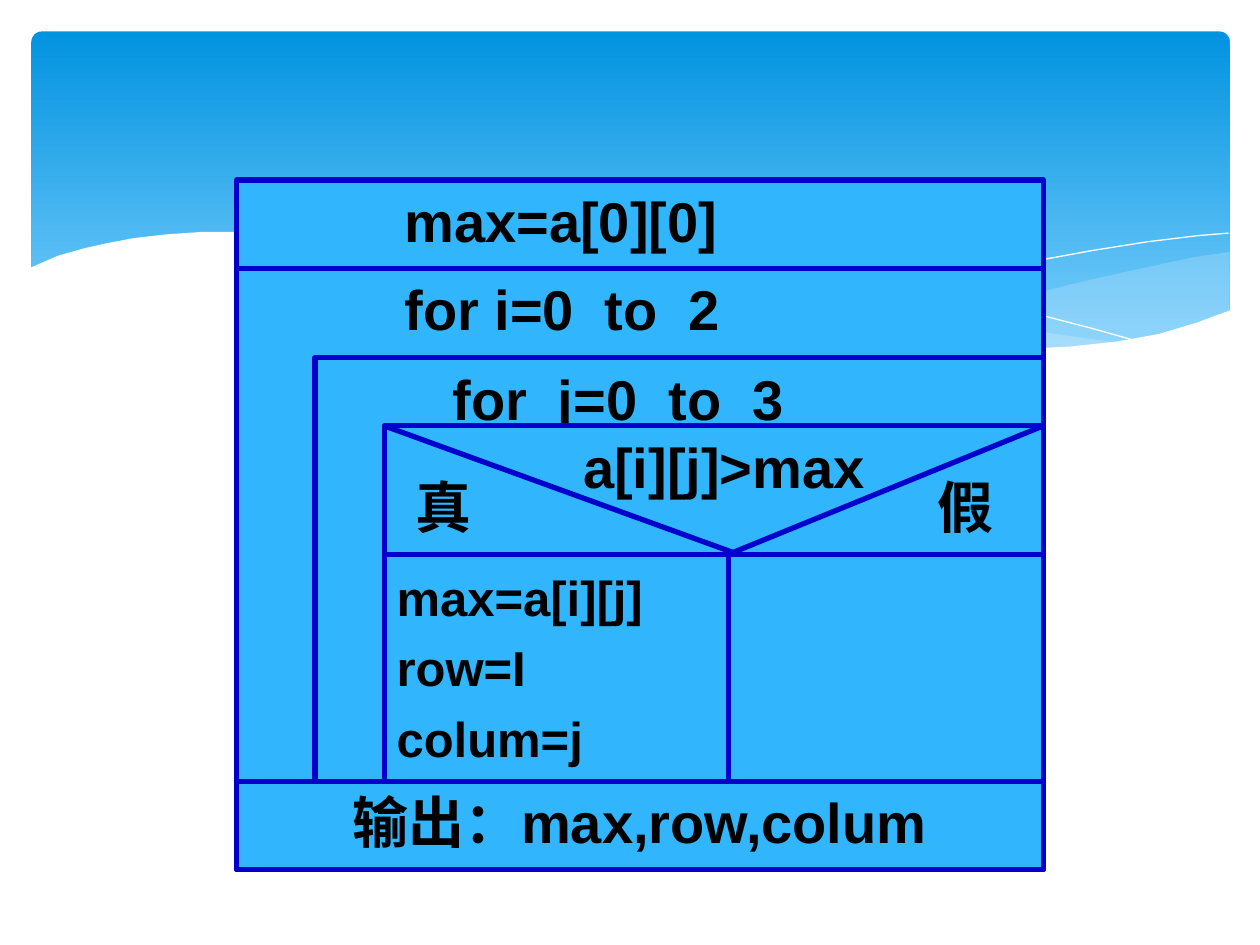
from lxml import etree
from pptx import Presentation, util as u
from pptx.dml.color import RGBColor
from pptx.enum import shapes, text
from pptx.oxml.ns import qn

COLORS = {"sky_top": "0293E0", "sky_bottom": "83D3FE", "wave": "C6E7FC",
          "white": "FFFFFF", "box": "31B6FD", "line": "0000CC", "ink": "000000"}

# Banner waves: outline points in inches, opacity in percent
WAVES = [
    ([(9.76, 2), (9.48, 2.04), (9.06, 2.13), (8.61, 2.23), (8.05, 2.37), (7.53, 2.48),
      (7.06, 2.57), (6.61, 2.65), (7.05, 2.71), (7.45, 2.75), (8.03, 2.78), (8.54, 2.76),
      (8.97, 2.7), (9.35, 2.62), (9.76, 2.47)], 29),
    ([(8.93, 2.73), (8.37, 2.65), (7.75, 2.54), (7.06, 2.4), (6.29, 2.22), (5.84, 2.11),
      (5.41, 2.03), (5.01, 1.96), (4.41, 1.89), (3.8, 1.85), (3.28, 1.87), (2.86, 1.91),
      (3.42, 1.99), (4.04, 2.11), (4.91, 2.32), (5.66, 2.48), (6.34, 2.61), (6.95, 2.7),
      (7.48, 2.76), (8.07, 2.79), (8.57, 2.77)], 40),
]
STRANDS = [
    [(3.09, 1.95), (3.43, 1.9), (3.87, 1.87), (4.33, 1.87), (4.89, 1.9), (5.56, 1.97),
     (6.08, 2.04), (6.65, 2.13), (7.27, 2.26), (7.95, 2.42), (8.68, 2.61), (9.07, 2.72)],
    [(6.13, 2.57), (6.52, 2.46), (6.95, 2.35), (7.48, 2.23), (8.06, 2.1), (8.66, 1.99),
     (9.1, 1.92), (9.51, 1.87), (9.75, 1.85)],
]
LOWER_EDGE = [
    (9.77, 2.46), (9.5, 2.56), (9.2, 2.65), (8.87, 2.71), (8.5, 2.75), (8.09, 2.77),
    (7.61, 2.75), (7.08, 2.7), (6.47, 2.62), (5.79, 2.5), (5.03, 2.33), (4.18, 2.13),
    (3.65, 2.02), (3.15, 1.94), (2.71, 1.88), (2.3, 1.85), (1.93, 1.84), (1.61, 1.84),
    (1.32, 1.86), (1.06, 1.89), (0.85, 1.93), (0.67, 1.97), (0.46, 2.03), (0.23, 2.13),
    (0.23, 3.29), (9.77, 3.29)]

# Structure diagram grid
RIGHT, ROW = 8.28, 0.7
OUTER, LOOP_I, LOOP_J = 1.88, 2.5, 3.05
TOP, FOR_I, FOR_J, TEST, BRANCH, OUTPUT = 1.43, 2.13, 2.84, 3.38, 4.4, 6.2
BOTTOM, SPLIT = 6.9, 5.78

# lines, (left, top, right, bottom), text indent, top inset, size, line spacing, centred
BOXES = [
    (["for i=0  to  2"], (OUTER, FOR_I, RIGHT, BOTTOM), 1.23, 0.05, 32, 1, False),
    (["for  j=0  to  3"], (LOOP_I, FOR_J, RIGHT, OUTPUT), 0.99, 0.05, 32, 1, False),
    (["max=a[i][j]", "row=I", "colum=j"], (LOOP_J, TEST, RIGHT, OUTPUT),
     0, 1.03, 28, 1.2, False),
    (["max=a[0][0]"], (OUTER, TOP, RIGHT, FOR_I), 1.23, 0.05, 32, 1, False),
    (["输出：max,row,colum"], (OUTER, OUTPUT, RIGHT, BOTTOM), 0, 0.05, 32, 1, True),
]
LABELS = [("a[i][j]>max", 4.53, TEST, 2.58), ("真", 3.2, 3.7, 0.78), ("假", 7.34, 3.7, 0.78)]
RULES = [
    (LOOP_J, BRANCH, RIGHT, BRANCH),
    (SPLIT, BRANCH, RIGHT, TEST),
    (LOOP_J, TEST, 5.86, BRANCH),
    (SPLIT, OUTPUT, SPLIT, BRANCH),
]


def rgb(name):
    return RGBColor.from_string(COLORS[name])


def fill_solid(sp, name):
    sp.fill.solid()
    sp.fill.fore_color.rgb = rgb(name)


def add_outline(s, points, closed=True):
    pts = [(u.Inches(x), u.Inches(y)) for x, y in points]
    builder = s.shapes.build_freeform(*pts[0])
    builder.add_line_segments(pts[1:], close=closed)
    sp = builder.convert_to_shape()
    sp.shadow.inherit = False
    if closed:
        sp.line.fill.background()
    else:
        sp.fill.background()
    return sp


def add_banner(s):
    sky = s.shapes.add_shape(shapes.MSO_SHAPE.ROUNDED_RECTANGLE, u.Inches(0.25),
                             u.Inches(0.25), u.Inches(9.51), u.Inches(2.7))
    sky.adjustments[0] = 0.03
    sky.shadow.inherit = False
    sky.line.fill.background()
    sky.fill.gradient()
    sky.fill.gradient_angle = 270
    for stop, name, pos in zip(sky.fill.gradient_stops, ("sky_top", "sky_bottom"), (0, 1)):
        stop.color.rgb = rgb(name)
        stop.position = pos
    for points, opacity in WAVES:
        sp = add_outline(s, points)
        fill_solid(sp, "wave")
        color = sp.fill._xPr.find(qn("a:solidFill"))[0]
        etree.SubElement(color, qn("a:alpha"), val=str(opacity * 1000))
    for points in STRANDS:
        sp = add_outline(s, points, closed=False)
        sp.line.color.rgb = rgb("white")
        sp.line.width = u.Pt(0)
    fill_solid(add_outline(s, LOWER_EDGE), "white")


def add_box(s, lines, edges, indent=0, inset=0.05, size=32, spacing=1,
            centred=False, framed=True):
    left, top, right, bottom = edges
    sp = s.shapes.add_shape(shapes.MSO_SHAPE.FLOWCHART_PROCESS, u.Inches(left),
                            u.Inches(top), u.Inches(right - left), u.Inches(bottom - top))
    sp.shadow.inherit = False
    if framed:
        fill_solid(sp, "box")
        sp.line.color.rgb = rgb("line")
        sp.line.width = u.Pt(3)
    else:
        sp.fill.background()
        sp.line.fill.background()
    tf = sp.text_frame
    tf.word_wrap = True
    tf.vertical_anchor = text.MSO_ANCHOR.TOP
    tf.margin_left, tf.margin_right = u.Inches(0.1 + indent), u.Inches(0.1)
    tf.margin_top, tf.margin_bottom = u.Inches(inset), u.Inches(0.05)
    for i, line in enumerate(lines):
        p = tf.add_paragraph() if i else tf.paragraphs[0]
        p.alignment = text.PP_ALIGN.CENTER if centred else text.PP_ALIGN.LEFT
        p.line_spacing = float(spacing)
        r = p.add_run()
        r.text = line
        r.font.name, r.font.size, r.font.bold = "Arial", u.Pt(size), True
        r.font.color.rgb = rgb("ink")


def add_rule(s, *ends):
    c = s.shapes.add_connector(shapes.MSO_CONNECTOR.STRAIGHT, *map(u.Inches, ends))
    c.line.color.rgb = rgb("line")
    c.line.width = u.Pt(3)
    etree.SubElement(c._element.spPr, qn("a:effectLst"))


def main():
    prs = Presentation()
    prs.slide_width, prs.slide_height = u.Inches(10), u.Inches(7.5)
    s = prs.slides.add_slide(prs.slide_layouts[6])
    add_banner(s)
    for box in BOXES:
        add_box(s, *box)
    for label, left, top, width in LABELS:
        add_box(s, [label], (left, top, left + width, top + ROW), framed=False)
    for ends in RULES:
        add_rule(s, *ends)
    prs.save("out.pptx")


if __name__ == "__main__":
    main()
